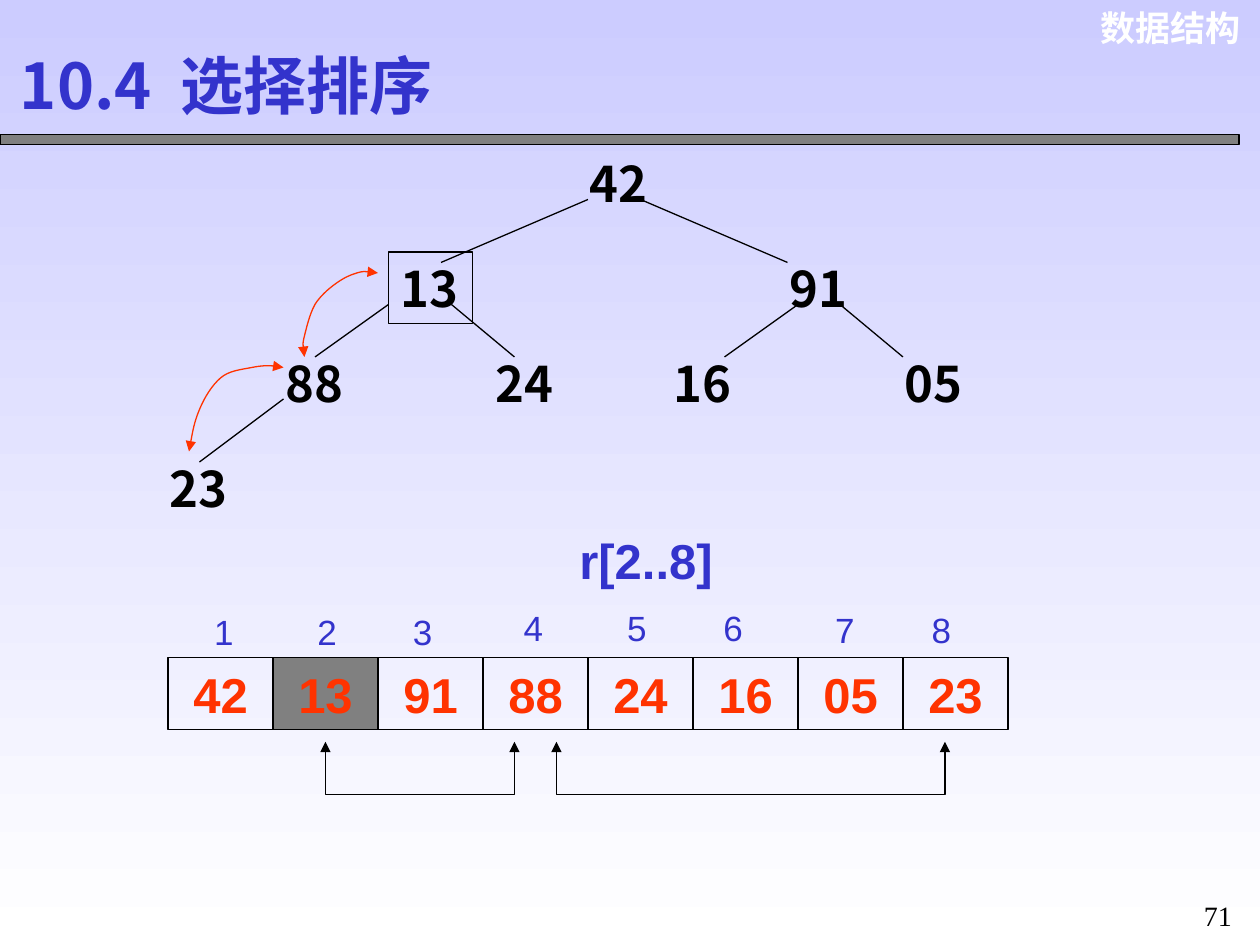
from dataclasses import dataclass
from typing import NamedTuple

from lxml.etree import SubElement
from pptx import Presentation
from pptx.dml.color import RGBColor
from pptx.enum.shapes import MSO_CONNECTOR, MSO_SHAPE
from pptx.enum.text import MSO_ANCHOR, PP_ALIGN
from pptx.oxml.ns import qn
from pptx.util import Inches, Pt


@dataclass(frozen=True)
class Theme:
    sky: str = "CCCCFF"
    white: str = "FFFFFF"
    black: str = "000000"
    gray: str = "808080"
    blue: str = "3333CC"
    red: str = "FF3300"
    sans: str = "Arial"
    cjk: str = "Noto Sans CJK SC"
    serif: str = "Times New Roman"
    head: int = 36
    body: int = 28
    note: int = 20
    page: int = 16
    line: float = 0.75


class Node(NamedTuple):
    text: str
    col: float
    row: float
    framed: bool = False


class Edge(NamedTuple):
    x1: float
    y1: float
    x2: float
    y2: float


class Label(NamedTuple):
    text: str
    left: float
    top: float


T = Theme()
UNITS = 12  # grid steps per inch: the slide is 120 columns by 90 rows
BOX_W, BOX_H = 8, 6.85
CELL_X, CELL_Y, CELL_W = 16, 62.65, 10
ARROW_Y, ELBOW_Y = 70.65, 75.65

NODES = [
    Node("42", 55, 14), Node("13", 37, 24, True), Node("91", 74, 24),
    Node("88", 26, 33), Node("24", 46, 33), Node("16", 63, 33),
    Node("05", 85, 33), Node("23", 15, 43),
]
EDGES = [
    Edge(56, 19, 42, 25), Edge(61, 19, 75, 25), Edge(37, 29, 30, 34),
    Edge(43, 29, 49, 34), Edge(76, 29, 69, 34), Edge(80, 29, 86, 34),
    Edge(27, 38, 19, 44),
]
CELLS = [node.text for node in NODES]
MARKED = 1
LABELS = [
    Label("1", 19.2, 57.5), Label("2", 29.05, 57.5), Label("3", 38.15, 57.5),
    Label("4", 48.7, 57.1), Label("5", 58.55, 57.1), Label("6", 67.7, 57.1),
    Label("7", 78.35, 57.35), Label("8", 87.55, 57.35),
]
SWAPS = [(31, 49), (53, 90)]
# Each curve is a start point, then two handles and an end per segment.
CURVES = [
    [(18, 43), (18.25, 41.6), (18.5, 40.2), (19, 39),
     (19.5, 37.8), (20.2, 36.7), (21, 36),
     (21.8, 35.3), (23, 35.2), (24, 35), (25, 34.8), (26.5, 34.8), (27, 35)],
    [(29, 34), (28.9, 33.4), (28.8, 32.8), (29, 32),
     (29.2, 31.2), (29.5, 29.9), (30, 29), (30.5, 28.2), (31.3, 27.5), (32, 27),
     (32.7, 26.5), (33.3, 26.2), (34, 26), (34.7, 25.8), (35.3, 25.9), (36, 26)],
]


def grid(steps: float) -> int:
    return Inches(steps / UNITS)


def rgb(code: str) -> RGBColor:
    return RGBColor.from_string(code)


def write(frame, text: str, *, size: int = T.body, color: str = T.black,
          face: str = T.sans, bold: bool = True, align=PP_ALIGN.LEFT,
          lead: float = 1.0, gap: int = 0) -> None:
    """Fill a frame with one line; gap widens its first space, in points."""
    frame.word_wrap = True
    frame.vertical_anchor = MSO_ANCHOR.MIDDLE
    frame.margin_top = frame.margin_bottom = 0
    para = frame.paragraphs[0]
    para.alignment, para.line_spacing = align, lead
    for part in text.partition(" ") if gap else [text]:
        run = para.add_run()
        run.text = part
        font = run.font
        font.size, font.bold, font.name = Pt(size), bold, face
        font.color.rgb = rgb(color)
        props = run._r.get_or_add_rPr()
        SubElement(props, qn("a:ea"), typeface=T.cjk)
        if part == " ":
            props.set("spc", str(gap * 100))


def label(shapes, text: str, x: float, y: float, w: float, h: float, **style) -> None:
    box = shapes.add_textbox(grid(x), grid(y), grid(w), grid(h))
    write(box.text_frame, text, **style)


def stroke(shape, color: str = T.black) -> None:
    shape.line.color.rgb = rgb(color)
    shape.line.width = Pt(T.line)


def block(shapes, x: float, y: float, w: float, h: float, fill: str = ""):
    shape = shapes.add_shape(MSO_SHAPE.RECTANGLE, grid(x), grid(y), grid(w), grid(h))
    shape.shadow.inherit = False
    if fill:
        shape.fill.solid()
        shape.fill.fore_color.rgb = rgb(fill)
    else:
        shape.fill.background()
    stroke(shape)
    return shape


def link(shapes, edge: Edge) -> None:
    line = shapes.add_connector(MSO_CONNECTOR.STRAIGHT, *map(grid, edge))
    stroke(line)
    SubElement(line._element.spPr, qn("a:effectLst"))


def arrow(shapes, points: list, color: str = T.black, curved: bool = False) -> None:
    """Draw an open outline with an arrowhead at both ends."""
    spots = [(grid(x), grid(y)) for x, y in points]
    pen = shapes.build_freeform(*spots[0])
    pen.add_line_segments(spots[1:], close=False)
    shape = pen.convert_to_shape()
    shape.shadow.inherit = False
    shape.fill.background()
    stroke(shape, color)
    for end in ("a:headEnd", "a:tailEnd"):
        SubElement(shape.line._get_or_add_ln(), qn(end), type="triangle")
    if curved:
        bend(shape)


def bend(shape) -> None:
    """Turn every three straight segments into one cubic curve."""
    steps = list(shape._element.iter(qn("a:lnTo")))
    for i in range(0, len(steps), 3):
        curve = SubElement(steps[i].getparent(), qn("a:cubicBezTo"))
        for step in steps[i:i + 3]:
            curve.append(step[0])
            step.getparent().remove(step)


def frame(slide) -> None:
    """Set the background, title, course name, rule and page number."""
    fill = slide.background.fill
    fill.gradient()
    fill.gradient_angle = 270
    for stop, color in zip(fill.gradient_stops, (T.sky, T.white)):
        stop.color.rgb = rgb(color)
    title = slide.shapes.title
    title.left, title.top, title.width, title.height = map(grid, (0.7, 3.5, 44.65, 9))
    write(title.text_frame, "10.4 选择排序", size=T.head, color=T.blue, face=T.cjk, gap=8)
    label(slide.shapes, "数据结构", 102.8, 0, 16.5, 5.25, size=T.note,
          color=T.white, align=PP_ALIGN.RIGHT)
    block(slide.shapes, 0, 12.8, 118, 1, T.gray)
    label(slide.shapes, "71", 113, 84, 6, 5.4, size=T.page, face=T.serif,
          bold=False, align=PP_ALIGN.CENTER, lead=1.3)


def tree(shapes) -> None:
    for node in NODES:
        spot = (node.col, node.row, BOX_W, BOX_H)
        if node.framed:
            write(block(shapes, *spot).text_frame, node.text, face=T.cjk)
        else:
            label(shapes, node.text, *spot, face=T.cjk)
    for edge in EDGES:
        link(shapes, edge)
    for curve in CURVES:
        arrow(shapes, curve, T.red, curved=True)


def array(shapes) -> None:
    label(shapes, "r[2..8]", 54, 49.9, 34, BOX_H, color=T.blue)
    for item in LABELS:
        label(shapes, *item, 4.2, 5.25, size=T.note, color=T.blue, bold=False)
    for i, text in enumerate(CELLS):
        cell = block(shapes, CELL_X + i * CELL_W, CELL_Y, CELL_W, BOX_H,
                     T.gray if i == MARKED else "")
        write(cell.text_frame, text, color=T.red, align=PP_ALIGN.CENTER)
    for x1, x2 in SWAPS:
        arrow(shapes, [(x1, ARROW_Y), (x1, ELBOW_Y), (x2, ELBOW_Y), (x2, ARROW_Y)])


def main() -> None:
    deck = Presentation()
    deck.slide_width, deck.slide_height = Inches(10), Inches(7.5)
    slide = deck.slides.add_slide(deck.slide_layouts[5])
    frame(slide)
    tree(slide.shapes)
    array(slide.shapes)
    deck.save("out.pptx")


if __name__ == "__main__":
    main()
